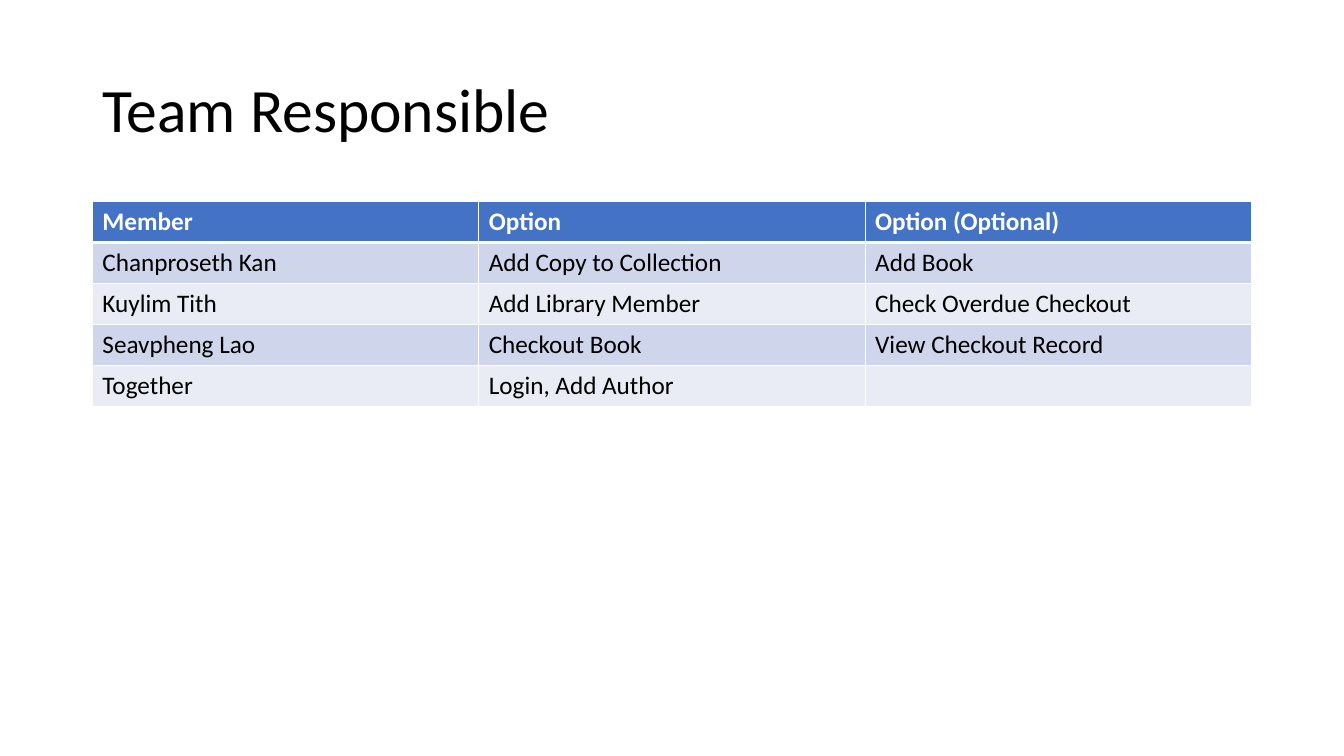
from lxml.etree import SubElement
from pptx import Presentation
from pptx.dml.color import RGBColor
from pptx.enum.text import MSO_ANCHOR
from pptx.oxml.ns import qn
from pptx.util import Pt

PX = 9525  # EMU per px, 96 px to the inch
WHITE = RGBColor(0xFF, 0xFF, 0xFF)
BLACK = RGBColor(0x00, 0x00, 0x00)
HEADER_BLUE = RGBColor(0x44, 0x72, 0xC4)
BAND_DARK = RGBColor(0xCF, 0xD5, 0xEA)
BAND_LIGHT = RGBColor(0xE9, 0xEB, 0xF5)

TITLE_FORMAT = {"name": "Calibri", "size": Pt(44), "bold": False}
HEADER_FORMAT = {"name": "Calibri", "size": Pt(18), "bold": True}
BODY_FORMAT = {"name": "Calibri", "size": Pt(18), "bold": False}

TEAM_ROWS = [
    ("Member", "Option", "Option (Optional)"),
    ("Chanproseth Kan", "Add Copy to Collection", "Add Book"),
    ("Kuylim Tith", "Add Library Member", "Check Overdue Checkout"),
    ("Seavpheng Lao", "Checkout Book", "View Checkout Record"),
    ("Together", "Login, Add Author", ""),
]


def write_text(paragraph, text, font_format, color):
    run = paragraph.add_run()
    run.text = text
    for name, value in font_format.items():
        setattr(run.font, name, value)
    run.font.color.rgb = color


def set_borders(cell, widths):
    properties = cell._tc.get_or_add_tcPr()
    for side, points in widths.items():
        line = SubElement(properties, qn(f"a:ln{side}"), w=str(Pt(points)))
        fill = SubElement(line, qn("a:solidFill"))
        SubElement(fill, qn("a:srgbClr"), val=str(WHITE))


def add_title(slide, left, top, width, height):
    shape = slide.shapes.add_textbox(left * PX, top * PX, width * PX, height * PX)
    frame = shape.text_frame
    frame.word_wrap = True
    frame.vertical_anchor = MSO_ANCHOR.MIDDLE
    paragraph = frame.paragraphs[0]
    paragraph.line_spacing = 0.9
    write_text(paragraph, "Team Responsible", TITLE_FORMAT, BLACK)


def add_team_table(slide, left, top, width, height):
    row_count, column_count = len(TEAM_ROWS), len(TEAM_ROWS[0])
    table = slide.shapes.add_table(
        row_count, column_count, left * PX, top * PX, width * PX, height * PX
    ).table
    for row_index, texts in enumerate(TEAM_ROWS):
        is_header = row_index == 0
        band = BAND_DARK if row_index % 2 else BAND_LIGHT
        # A thicker rule separates the header from the body
        borders = {"L": 1, "R": 1, "T": 3 if row_index == 1 else 1, "B": 3 if is_header else 1}
        for column_index, text in enumerate(texts):
            cell = table.cell(row_index, column_index)
            set_borders(cell, borders)
            cell.fill.solid()
            cell.fill.fore_color.rgb = HEADER_BLUE if is_header else band
            if text:
                write_text(
                    cell.text_frame.paragraphs[0],
                    text,
                    HEADER_FORMAT if is_header else BODY_FORMAT,
                    WHITE if is_header else BLACK,
                )


def main():
    presentation = Presentation()
    presentation.slide_width = 1280 * PX
    presentation.slide_height = 720 * PX
    slide = presentation.slides.add_slide(presentation.slide_layouts[6])
    # Heading above, table below, on the same margins
    add_title(slide, 88, 38, 1104, 139)
    add_team_table(slide, 88, 192, 1104, 195)
    presentation.save("out.pptx")


if __name__ == "__main__":
    main()
